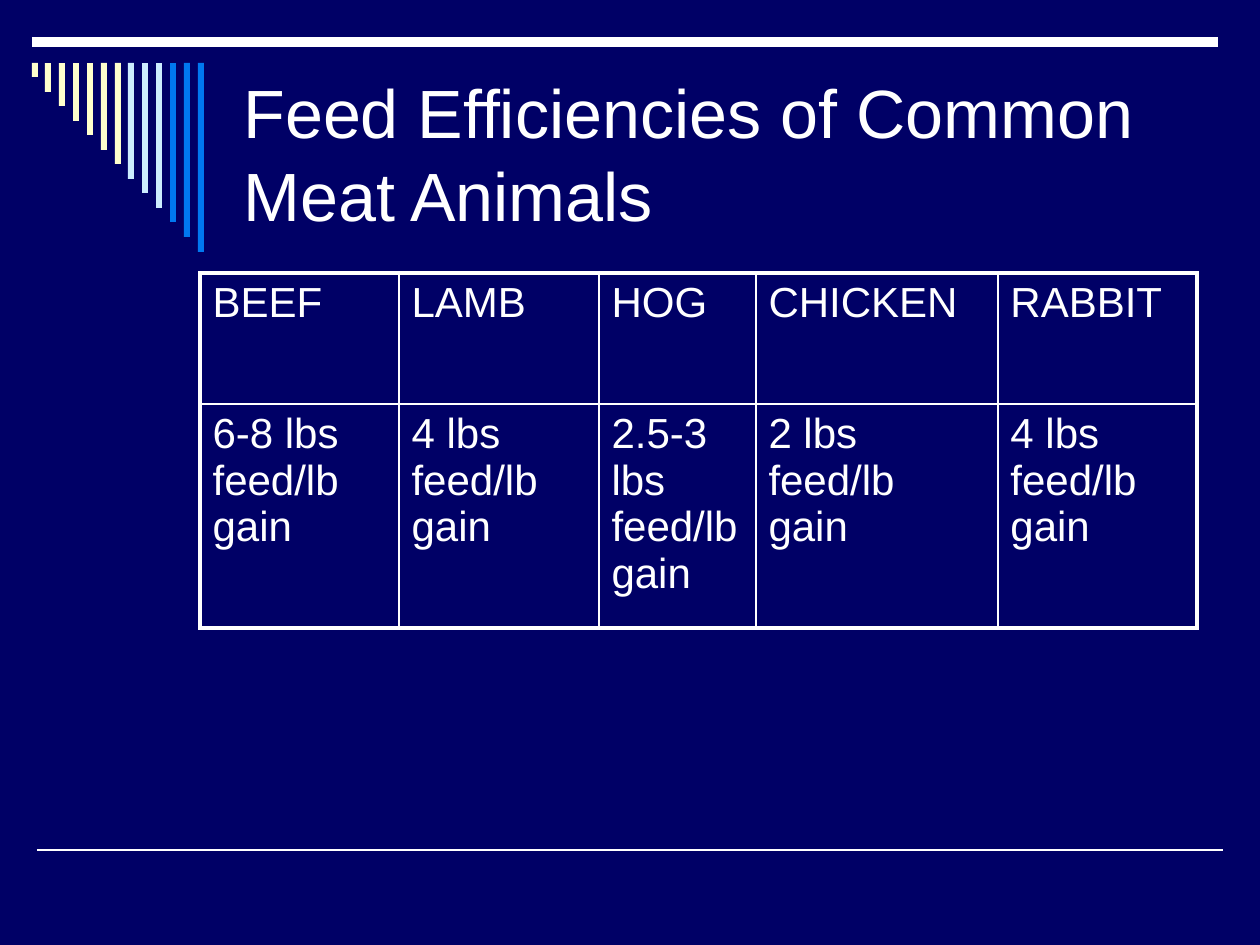
from dataclasses import dataclass

from lxml.etree import SubElement
from pptx import Presentation
from pptx.dml.color import RGBColor
from pptx.enum.shapes import MSO_CONNECTOR as Connector, MSO_SHAPE as Shape
from pptx.enum.text import MSO_ANCHOR as Anchor, PP_ALIGN as Align
from pptx.oxml.ns import qn
from pptx.util import Emu, Pt

PIXELS_PER_INCH = 126
WHITE, NAVY = "FFFFFF", "000066"
CREAM, PALE_BLUE, BLUE = "FFFFCC", "CCECFF", "0078F0"
THIN, THICK = 1, 2.25


@dataclass(frozen=True)
class Rule:
    left: int
    right: int
    y: int
    weight: int


@dataclass(frozen=True)
class Bar:
    left: int
    height: int
    color: str


@dataclass(frozen=True)
class Animal:
    name: str
    feed: str
    width: int


RULES = [Rule(37, 1223, 850, 1), Rule(32, 1218, 42, 6)]
BAR_COLORS = [CREAM] * 7 + [PALE_BLUE] * 3 + [BLUE] * 3
BARS = [
    Bar(32 + index * 166 // 12, (index + 1) * 189 // 13, color)
    for index, color in enumerate(BAR_COLORS)
]
ANIMALS = [
    Animal("BEEF", "6-8 lbs", 199),
    Animal("LAMB", "4 lbs", 200),
    Animal("HOG", "2.5-3 lbs", 157),
    Animal("CHICKEN", "2 lbs", 242),
    Animal("RABBIT", "4 lbs", 199),
]
ROW_HEIGHTS = [131, 224]


def px(value: int) -> Emu:
    return Emu(round(value * 914400 / PIXELS_PER_INCH))


def rgb(color: str) -> RGBColor:
    return RGBColor.from_string(color)


def write(text_frame, text: str, size: int) -> None:
    paragraph = text_frame.paragraphs[0]
    paragraph.alignment = Align.LEFT
    run = paragraph.add_run()
    run.text = text
    font_format = {"name": "Arial", "size": Pt(size), "bold": False}
    for name, value in font_format.items():
        setattr(run.font, name, value)
    run.font.color.rgb = rgb(WHITE)


def draw_rule(slide, rule: Rule) -> None:
    connector = slide.shapes.add_connector(
        Connector.STRAIGHT, px(rule.left), px(rule.y), px(rule.right), px(rule.y)
    )
    connector.line.color.rgb = rgb(WHITE)
    connector.line.width = Pt(rule.weight)
    SubElement(connector._element.spPr, qn("a:effectLst"))


def draw_bar(slide, bar: Bar) -> None:
    shape = slide.shapes.add_shape(
        Shape.RECTANGLE, px(bar.left), px(63), px(6), px(bar.height)
    )
    shape.shadow.inherit = False
    shape.fill.solid()
    shape.fill.fore_color.rgb = rgb(bar.color)
    shape.line.fill.background()


def draw_title(slide, text: str) -> None:
    box = slide.shapes.add_textbox(px(231), px(63), px(966), px(179))
    frame_format = {"word_wrap": True, "vertical_anchor": Anchor.MIDDLE}
    for name, value in frame_format.items():
        setattr(box.text_frame, name, value)
    write(box.text_frame, text, 39)
    box.text_frame.paragraphs[0].line_spacing = Pt(47)


def set_borders(cell, weights: dict[str, float]) -> None:
    properties = cell._tc.get_or_add_tcPr()
    for side, weight in weights.items():
        line = SubElement(properties, qn(f"a:ln{side}"), w=str(Pt(weight)))
        fill = SubElement(line, qn("a:solidFill"))
        SubElement(fill, qn("a:srgbClr"), val=WHITE)


def draw_table(slide, animals: list[Animal]) -> None:
    rows = [
        [animal.name for animal in animals],
        [f"{animal.feed} feed/lb gain" for animal in animals],
    ]
    last_row, last_column = len(rows) - 1, len(animals) - 1
    total_width = sum(animal.width for animal in animals)
    table = slide.shapes.add_table(
        len(rows), len(animals), px(200), px(273), px(total_width), px(sum(ROW_HEIGHTS))
    ).table
    for name, value in {"first_row": False, "horz_banding": False}.items():
        setattr(table, name, value)
    for column, animal in zip(table.columns, animals):
        column.width = px(animal.width)
    for row, height in zip(table.rows, ROW_HEIGHTS):
        row.height = px(height)
    for row_index, texts in enumerate(rows):
        for column_index, text in enumerate(texts):
            cell = table.cell(row_index, column_index)
            write(cell.text_frame, text, 24)
            set_borders(cell, {
                "L": THICK if column_index == 0 else THIN,
                "R": THICK if column_index == last_column else THIN,
                "T": THICK if row_index == 0 else THIN,
                "B": THICK if row_index == last_row else THIN,
            })
            cell.fill.background()


def main() -> None:
    presentation = Presentation()
    presentation.slide_width, presentation.slide_height = px(1260), px(945)
    slide = presentation.slides.add_slide(presentation.slide_layouts[6])
    slide.background.fill.solid()
    slide.background.fill.fore_color.rgb = rgb(NAVY)
    for rule in RULES:
        draw_rule(slide, rule)
    for bar in BARS:
        draw_bar(slide, bar)
    draw_title(slide, "Feed Efficiencies of Common Meat Animals")
    draw_table(slide, ANIMALS)
    presentation.save("out.pptx")


if __name__ == "__main__":
    main()
